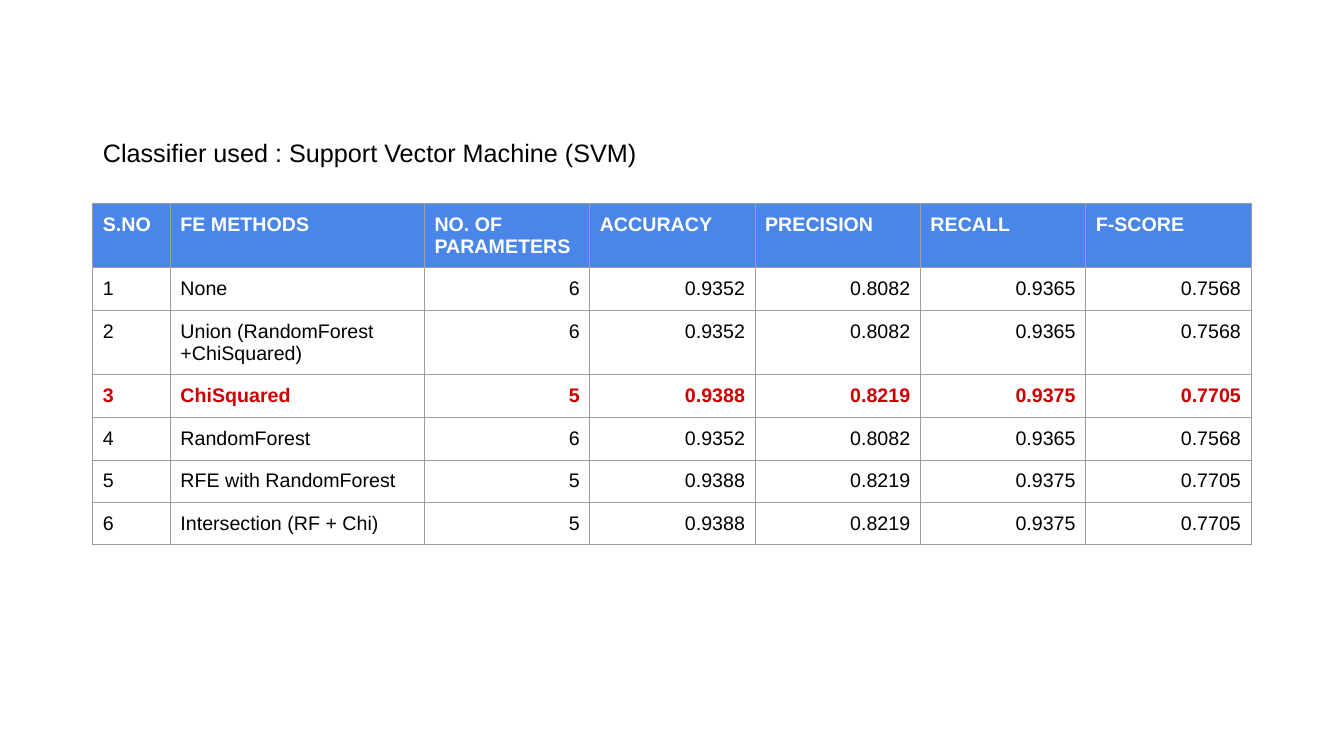
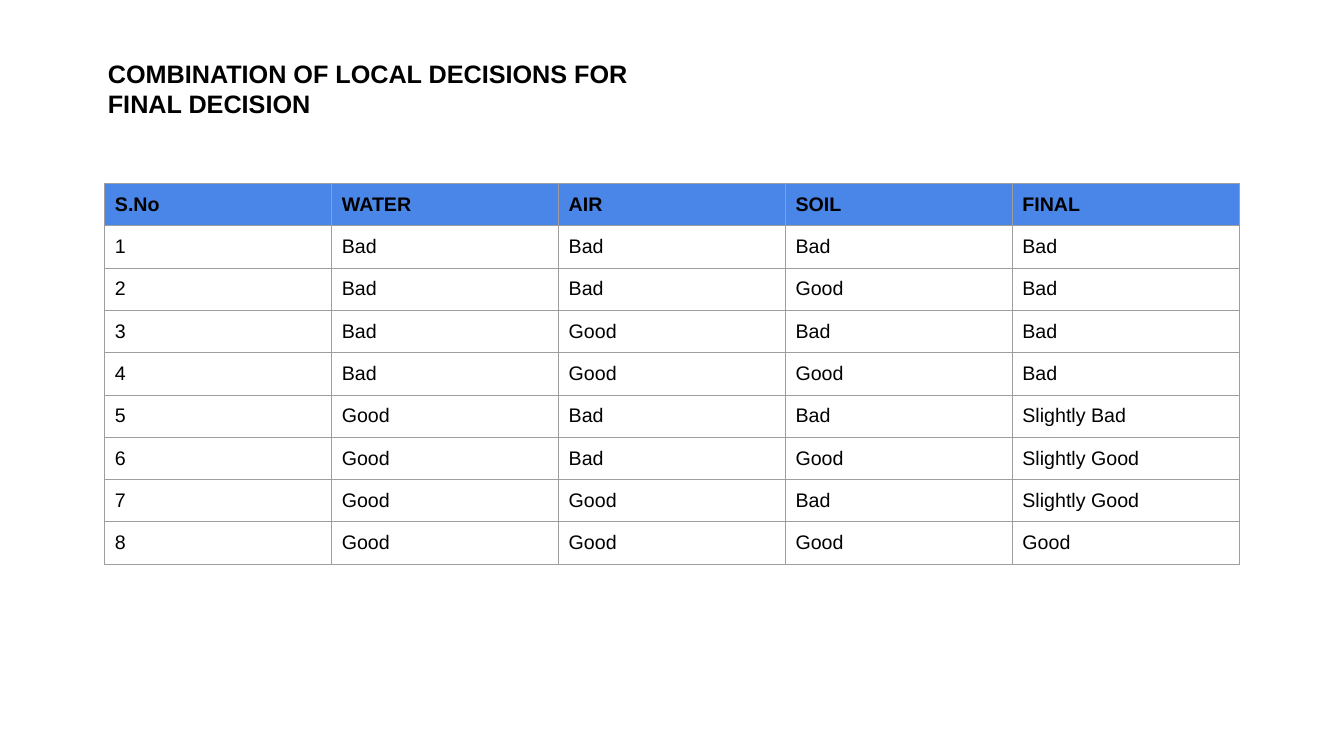
from lxml import etree
from pptx import Presentation
from pptx import util as u
from pptx.dml.color import RGBColor
from pptx.enum import text
from pptx.oxml.ns import qn

FONT = "Arial"
BLACK, WHITE, RED = "000000", "FFFFFF", "CC0000"
HEADER_BLUE, GRID_GREY = "4A86E8", "9E9E9E"
INSET = u.Inches(0.1)
ROW, TALL_ROW = 0.42, 0.63

SVM_HEADER = ["S.NO", "FE METHODS", "NO. OF PARAMETERS", "ACCURACY",
              "PRECISION", "RECALL", "F-SCORE"]
SIX_PARAMETERS = ["6", "0.9352", "0.8082", "0.9365", "0.7568"]
FIVE_PARAMETERS = ["5", "0.9388", "0.8219", "0.9375", "0.7705"]
SVM_METHODS = [
    ("None", SIX_PARAMETERS),
    ("Union (RandomForest +ChiSquared)", SIX_PARAMETERS),
    ("ChiSquared", FIVE_PARAMETERS),
    ("RandomForest", SIX_PARAMETERS),
    ("RFE with RandomForest", FIVE_PARAMETERS),
    ("Intersection (RF + Chi)", FIVE_PARAMETERS),
]
BEST_ROW = 3

DECISION_HEADER = ["S.No", "WATER", "AIR", "SOIL", "FINAL"]
DECISIONS = [
    ("Bad", "Bad", "Bad", "Bad"),
    ("Bad", "Bad", "Good", "Bad"),
    ("Bad", "Good", "Bad", "Bad"),
    ("Bad", "Good", "Good", "Bad"),
    ("Good", "Bad", "Bad", "Slightly Bad"),
    ("Good", "Bad", "Good", "Slightly Good"),
    ("Good", "Good", "Bad", "Slightly Good"),
    ("Good", "Good", "Good", "Good"),
]


def rgb(color):
    return RGBColor.from_string(color)


def style_paragraph(p, size, color, bold, align=text.PP_ALIGN.LEFT):
    p.alignment = align
    p.font.name, p.font.size, p.font.bold = FONT, u.Pt(size), bold
    p.font.color.rgb = rgb(color)


def set_insets(box):
    """Give a cell or a text frame the deck's equal margins."""
    box.margin_left = box.margin_top = box.margin_right = box.margin_bottom = INSET


def add_titled_slide(prs, title, left, top, width, height, bold=False):
    s = prs.slides.add_slide(prs.slide_layouts.get_by_name("Title Only"))
    sp = s.shapes.title
    sp.left, sp.top, sp.width, sp.height = map(u.Inches, (left, top, width, height))
    tf = sp.text_frame
    tf.text = title
    tf.word_wrap = True
    tf.auto_size = text.MSO_AUTO_SIZE.NONE
    tf.vertical_anchor = text.MSO_ANCHOR.TOP
    set_insets(tf)
    style_paragraph(tf.paragraphs[0], 18, BLACK, bold)
    return s


def add_borders(cell):
    tc_pr = cell._tc.get_or_add_tcPr()
    for side in ("lnL", "lnR", "lnT", "lnB"):
        ln = etree.SubElement(tc_pr, qn(f"a:{side}"), w=str(u.Pt(0.75)))
        fill = etree.SubElement(ln, qn("a:solidFill"))
        etree.SubElement(fill, qn("a:srgbClr"), val=GRID_GREY)


def add_grid(s, left, top, col_widths, row_heights, rows,
             header_color=BLACK, best_row=None, first_number_col=None):
    """Add a table; columns from first_number_col on align right below the header."""
    size = map(u.Inches, (left, top, sum(col_widths), sum(row_heights)))
    table = s.shapes.add_table(len(rows), len(col_widths), *size).table
    table.first_row = table.horz_banding = False
    for col, width in zip(table.columns, col_widths):
        col.width = u.Inches(width)
    for row, height in zip(table.rows, row_heights):
        row.height = u.Inches(height)

    for r, values in enumerate(rows):
        is_header, is_best = r == 0, r == best_row
        color = header_color if is_header else RED if is_best else BLACK
        for c, value in enumerate(values):
            cell = table.cell(r, c)
            cell.text = value
            set_insets(cell)
            add_borders(cell)
            if is_header:
                cell.fill.solid()
                cell.fill.fore_color.rgb = rgb(HEADER_BLUE)
            else:
                cell.fill.background()
            is_number = (not is_header and first_number_col is not None
                         and c >= first_number_col)
            align = text.PP_ALIGN.RIGHT if is_number else text.PP_ALIGN.LEFT
            style_paragraph(cell.text_frame.paragraphs[0], 14, color,
                            is_header or is_best, align)


def add_svm_slide(prs):
    s = add_titled_slide(prs, "Classifier used : Support Vector Machine (SVM)",
                         0.92, 1.26, 5.98, 0.38)
    rows = [SVM_HEADER] + [[str(n), method, *scores]
                           for n, (method, scores) in enumerate(SVM_METHODS, 1)]
    heights = [TALL_ROW, ROW, TALL_ROW, 0.43] + [ROW] * 3
    add_grid(s, 0.92, 2.02, [0.77, 2.52] + [1.64] * 5, heights, rows,
             header_color=WHITE, best_row=BEST_ROW, first_number_col=2)


def add_decision_slide(prs):
    s = add_titled_slide(prs, "COMBINATION OF LOCAL DECISIONS FOR FINAL DECISION",
                         0.97, 0.48, 6.02, 0.76, bold=True)
    rows = [DECISION_HEADER] + [[str(n), *decision]
                                for n, decision in enumerate(DECISIONS, 1)]
    add_grid(s, 1.04, 1.82, [2.25] * 5, [ROW] * len(rows), rows)


def main():
    prs = Presentation()
    prs.slide_width, prs.slide_height = u.Inches(13.33), u.Inches(7.5)
    add_svm_slide(prs)
    add_decision_slide(prs)
    prs.save("out.pptx")


if __name__ == "__main__":
    main()
